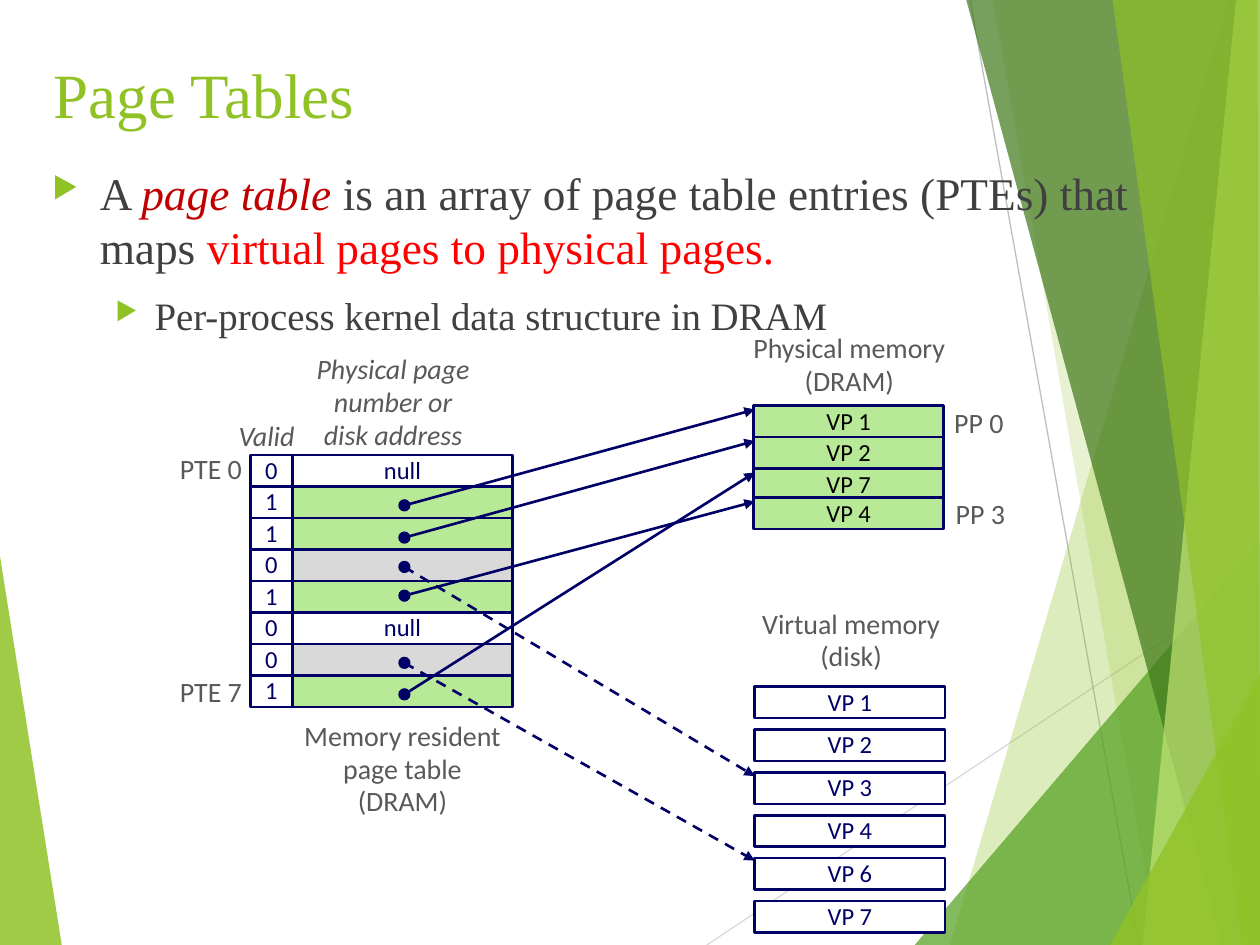
from typing import NamedTuple, Optional

from lxml import etree
from pptx import Presentation
from pptx.dml.color import RGBColor
from pptx.enum.dml import MSO_LINE
from pptx.enum.shapes import MSO_CONNECTOR, MSO_SHAPE
from pptx.enum.text import MSO_ANCHOR, PP_ALIGN
from pptx.oxml.ns import qn
from pptx.util import Pt

CENTER, RIGHT = PP_ALIGN.CENTER, PP_ALIGN.RIGHT
TOP, MIDDLE = MSO_ANCHOR.TOP, MSO_ANCHOR.MIDDLE
RECTANGLE, OVAL = MSO_SHAPE.RECTANGLE, MSO_SHAPE.OVAL
STRAIGHT, DASH = MSO_CONNECTOR.STRAIGHT, MSO_LINE.DASH

LIME = RGBColor(0x90, 0xC2, 0x26)
LEAF = RGBColor(0x54, 0xA0, 0x21)
FOREST = RGBColor(0x3F, 0x78, 0x19)
PALE_LIME = RGBColor(0xC0, 0xE4, 0x74)
LIGHT_GRAY = RGBColor(0xD9, 0xD9, 0xD9)
MID_GRAY = RGBColor(0xBF, 0xBF, 0xBF)
LABEL_GRAY = RGBColor(0x59, 0x59, 0x59)
BODY_GRAY = RGBColor(0x40, 0x40, 0x40)
NAVY = RGBColor(0x00, 0x00, 0x66)
CACHED_GREEN = RGBColor(0xB7, 0xE9, 0x96)
WHITE = RGBColor(0xFF, 0xFF, 0xFF)
BLACK = RGBColor(0x00, 0x00, 0x00)
DARK_RED = RGBColor(0xC0, 0x00, 0x00)
RED = RGBColor(0xFF, 0x00, 0x00)

SANS, SERIF = "Calibri", "Times New Roman"
ROW_HEIGHT = 18
TABLE_TOP, VALID_LEFT, VALID_WIDTH = 260, 143.3, 23.7
ENTRY_LEFT, ENTRY_WIDTH = 167, 126
DOT_X, DOT_SIZE = 231.1, 6
ARROW_END_X = 431.3
PAGE_WIDTH = 108.7


class Facet(NamedTuple):
    points: list
    color: RGBColor
    opacity: int


class Entry(NamedTuple):
    valid: str
    fill: RGBColor
    text: str = ""
    dot_y: Optional[float] = None
    target_y: Optional[float] = None


class Label(NamedTuple):
    left: float
    top: float
    width: float
    height: float
    text: str
    align: PP_ALIGN = CENTER
    italic: bool = False


class Run(NamedTuple):
    text: str
    color: RGBColor = BODY_GRAY
    italic: bool = False


class Bullet(NamedTuple):
    runs: list
    size: float
    margin: float
    hanging: float
    space_before: float


FACETS_BACK = [Facet([(0, 318), (35.3, 540), (0, 540)], LIME, 85)]
FACETS_FRONT = [
    Facet([(702, 0), (542.9, 540), (720, 540), (720, 0)], LIME, 30),
    Facet([(567.4, 0), (661.7, 540), (720, 540), (720, 0)], LIME, 20),
    Facet([(522.7, 540), (720, 308.9), (720, 540)], LEAF, 72),
    Facet([(552.2, 0), (698.4, 540), (720, 540), (720, 0)], FOREST, 70),
    Facet([(706.3, 0), (653, 540), (720, 540), (720, 0)], PALE_LIME, 70),
    Facet([(635.8, 0), (709.9, 540), (720, 540), (718.6, 0)], LIME, 65),
    Facet([(634.3, 540), (720, 385.2), (720, 540)], LIME, 80),
]
ENTRIES = [
    Entry("0", WHITE, "null"),
    Entry("1", CACHED_GREEN, dot_y=288.8, target_y=234),
    Entry("1", CACHED_GREEN, dot_y=307.2, target_y=252),
    Entry("0", LIGHT_GRAY, dot_y=324, target_y=443.5),
    Entry("1", CACHED_GREEN, dot_y=340.4, target_y=286.6),
    Entry("0", WHITE, "null"),
    Entry("0", LIGHT_GRAY, dot_y=378.8, target_y=491.8),
    Entry("1", CACHED_GREEN, dot_y=396.8, target_y=270),
]
PHYSICAL_PAGES = [("VP 1", 231.8), ("VP 2", 249.8), ("VP 7", 267.8), ("VP 4", 284.4)]
VIRTUAL_PAGES = ["VP 1", "VP 2", "VP 3", "VP 4", "VP 6", "VP 7"]
VIRTUAL_TOP, VIRTUAL_STEP = 392.4, 24.48
LABELS = [
    Label(163.4, 407.5, 133.2, 64, "Memory resident\npage table\n(DRAM)"),
    Label(421.2, 185.8, 128.2, 45.4, "Physical memory\n(DRAM)"),
    Label(425.5, 343.4, 121.7, 45.4, "Virtual memory\n(disk)"),
    Label(125.3, 236.2, 54, 26.6, "Valid", italic=True),
    Label(172.1, 198, 105.1, 64, "Physical page\nnumber or\ndisk address", italic=True),
    Label(95, 254.9, 50.4, 26.6, "PTE 0", RIGHT),
    Label(95, 382.3, 50.4, 26.6, "PTE 7", RIGHT),
    Label(537.8, 229, 43.2, 26.6, "PP 0"),
    Label(538.6, 280.8, 43.2, 26.6, "PP 3"),
]
BULLETS = [
    Bullet([Run("A "), Run("page table ", DARK_RED, True),
            Run("is an array of page table entries (PTEs) that maps "),
            Run("virtual pages to physical pages.", RED)], 25.9, 27, 27, 0),
    Bullet([Run("Per-process kernel data structure in DRAM")], 22.2, 58.3, 22.3, 10),
]


def style_font(font, name: str, size: float, color: RGBColor, italic: bool = False) -> None:
    font.name, font.size, font.italic = name, Pt(size), italic
    font.color.rgb = color


def format_text(text_frame, size: float, color: RGBColor, align=CENTER, italic=False) -> None:
    text_frame.word_wrap = False
    for paragraph in text_frame.paragraphs:
        paragraph.alignment = align
        paragraph.line_spacing = 0.98
        for run in paragraph.runs:
            style_font(run.font, SANS, size, color, italic)


def draw_facet(slide, facet: Facet) -> None:
    corners = [(Pt(x), Pt(y)) for x, y in facet.points]
    builder = slide.shapes.build_freeform(*corners[0])
    builder.add_line_segments(corners[1:], close=True)
    shape = builder.convert_to_shape()
    shape.shadow.inherit = False
    shape.fill.solid()
    shape.fill.fore_color.rgb = facet.color
    shape.line.fill.background()
    color = shape.element.spPr.find(qn("a:solidFill"))[0]
    etree.SubElement(color, qn("a:alpha"), val=str(facet.opacity * 1000))


def draw_line(slide, start, end, color: RGBColor, width: float, arrow=False, dashed=False) -> None:
    line = slide.shapes.add_connector(STRAIGHT, *(Pt(v) for v in (*start, *end)))
    line.line.color.rgb = color
    line.line.width = Pt(width)
    if dashed:
        line.line.dash_style = DASH
    properties = line.element.spPr
    if arrow:
        etree.SubElement(properties.find(qn("a:ln")), qn("a:tailEnd"), type="triangle")
    etree.SubElement(properties, qn("a:effectLst"))


def draw_shape(slide, kind, box, fill: Optional[RGBColor], text="", color=NAVY, line_width=1.5) -> None:
    shape = slide.shapes.add_shape(kind, *(Pt(v) for v in box))
    shape.shadow.inherit = False
    if fill is None:
        shape.fill.background()
    else:
        shape.fill.solid()
        shape.fill.fore_color.rgb = fill
    shape.line.color.rgb = NAVY
    shape.line.width = Pt(line_width)
    if text:
        shape.text_frame.text = text
        shape.text_frame.vertical_anchor = MIDDLE
        format_text(shape.text_frame, 14, color)


def draw_label(slide, label: Label) -> None:
    text_frame = slide.shapes.add_textbox(*(Pt(v) for v in label[:4])).text_frame
    text_frame.text = label.text
    text_frame.vertical_anchor = MIDDLE
    format_text(text_frame, 16, LABEL_GRAY, label.align, label.italic)


def add_heading_box(slide, box):
    text_frame = slide.shapes.add_textbox(*(Pt(v) for v in box)).text_frame
    text_frame.word_wrap = True
    text_frame.vertical_anchor = TOP
    text_frame.margin_left = text_frame.margin_right = Pt(7)
    text_frame.margin_top = Pt(3.5)
    return text_frame


def write_bullet(paragraph, bullet: Bullet) -> None:
    properties = paragraph._p.get_or_add_pPr()
    properties.set("marL", str(Pt(bullet.margin)))
    properties.set("indent", str(-Pt(bullet.hanging)))
    bullet_color = etree.SubElement(properties, qn("a:buClr"))
    etree.SubElement(bullet_color, qn("a:srgbClr"), val=str(LIME))
    etree.SubElement(properties, qn("a:buSzPct"), val="65000")
    etree.SubElement(properties, qn("a:buChar"), char="▶")
    paragraph.line_spacing = 1.0
    paragraph.space_before = Pt(bullet.space_before)
    for part in bullet.runs:
        run = paragraph.add_run()
        run.text = part.text
        style_font(run.font, SERIF, bullet.size, part.color, part.italic)


def main() -> None:
    presentation = Presentation()
    presentation.slide_width, presentation.slide_height = Pt(720), Pt(540)
    slide = presentation.slides.add_slide(presentation.slide_layouts[6])

    # Background facets and hairlines
    for facet in FACETS_BACK:
        draw_facet(slide, facet)
    draw_line(slide, (403.9, 540), (720, 329.3), LIGHT_GRAY, 0.75)
    draw_line(slide, (554.4, 0), (650.9, 540), MID_GRAY, 0.75)
    for facet in FACETS_FRONT:
        draw_facet(slide, facet)

    # Title and bullets
    title = add_heading_box(slide, (23.8, 28, 652.3, 62))
    title.text = "Page Tables"
    style_font(title.paragraphs[0].runs[0].font, SERIF, 36, LIME)
    body = add_heading_box(slide, (23, 90.7, 654.5, 101.5))
    for index, bullet in enumerate(BULLETS):
        write_bullet(body.add_paragraph() if index else body.paragraphs[0], bullet)

    # Page table
    for row, entry in enumerate(ENTRIES):
        top = TABLE_TOP + row * ROW_HEIGHT
        draw_shape(slide, RECTANGLE, (ENTRY_LEFT, top, ENTRY_WIDTH, ROW_HEIGHT), entry.fill, entry.text)
        draw_shape(slide, RECTANGLE, (VALID_LEFT, top, VALID_WIDTH, ROW_HEIGHT), None, entry.valid)

    # Pointers: solid into physical memory, dashed to disk
    for entry in ENTRIES:
        if entry.dot_y is not None:
            draw_line(slide, (DOT_X, entry.dot_y), (ARROW_END_X, entry.target_y), NAVY, 1.5,
                      arrow=True, dashed=entry.valid == "0")
            draw_shape(slide, OVAL, (DOT_X - DOT_SIZE / 2, entry.dot_y - DOT_SIZE / 2, DOT_SIZE, DOT_SIZE),
                       NAVY, line_width=1)

    # Physical and virtual memory
    for name, top in PHYSICAL_PAGES:
        draw_shape(slide, RECTANGLE, (430.6, top, PAGE_WIDTH, ROW_HEIGHT), CACHED_GREEN, name, BLACK)
    for index, name in enumerate(VIRTUAL_PAGES):
        top = VIRTUAL_TOP + index * VIRTUAL_STEP
        draw_shape(slide, RECTANGLE, (ARROW_END_X, top, PAGE_WIDTH, ROW_HEIGHT), WHITE, name)

    # Captions
    for label in LABELS:
        draw_label(slide, label)

    presentation.save("out.pptx")


if __name__ == "__main__":
    main()
